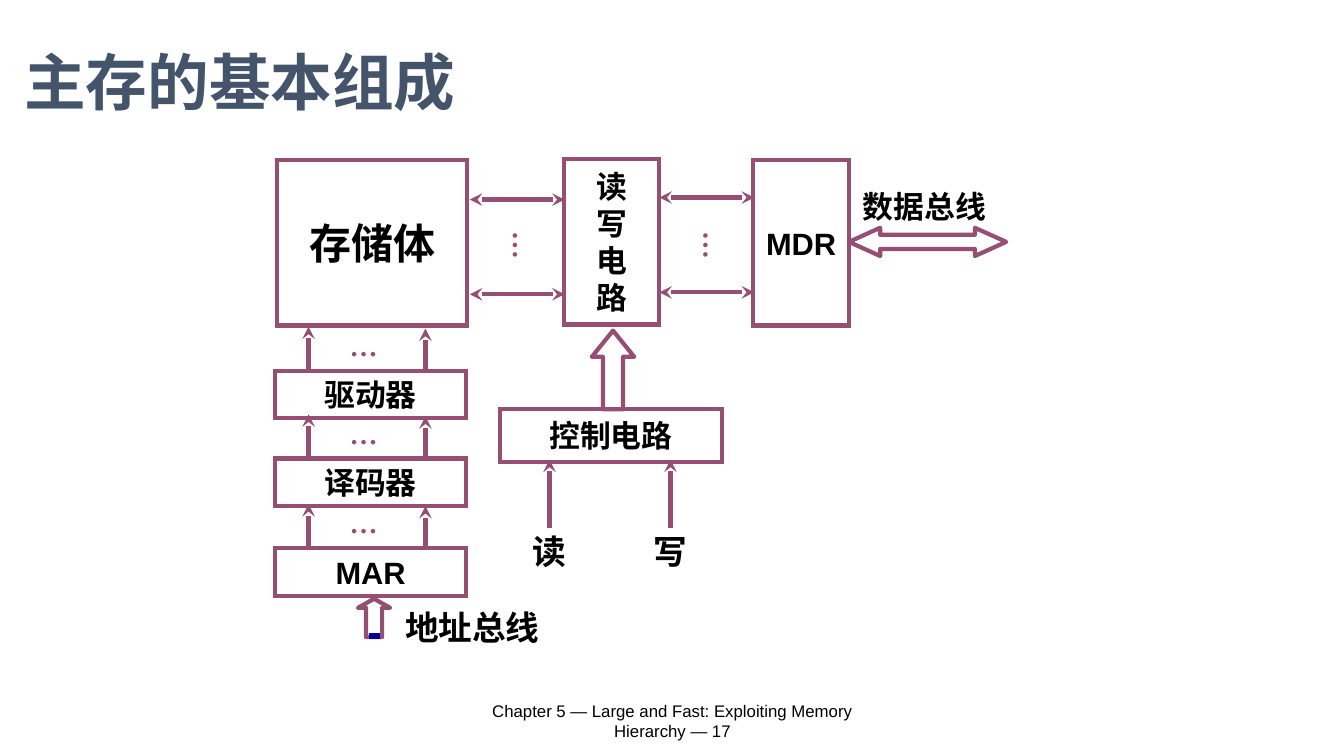
from dataclasses import dataclass

from pptx import Presentation
from pptx.dml.color import RGBColor
from pptx.enum.shapes import MSO_CONNECTOR, MSO_SHAPE
from pptx.enum.text import MSO_ANCHOR, MSO_AUTO_SIZE, PP_ALIGN
from pptx.oxml.ns import qn
from pptx.util import Inches, Pt
from lxml.etree import SubElement


@dataclass(frozen=True)
class Theme:
    plum: RGBColor = RGBColor(0x95, 0x4F, 0x72)
    slate: RGBColor = RGBColor(0x44, 0x54, 0x6A)
    black: RGBColor = RGBColor(0, 0, 0)
    navy: RGBColor = RGBColor(0, 0, 0x99)
    font: str = "Arial"
    dots_font: str = "Times New Roman"
    title: int = 44
    memory: int = 30
    signal: int = 24
    label: int = 22
    dots: int = 20
    footer: int = 12
    line: float = 3
    mark: float = 4.5


T = Theme()


def write(tf, text, size=T.label, color=T.black, bold=True, font=T.font,
          align=PP_ALIGN.LEFT, anchor=MSO_ANCHOR.TOP, wrap=False, spacing=None):
    """Fill a text frame, one paragraph per line of text."""
    tf.auto_size = MSO_AUTO_SIZE.NONE
    tf.word_wrap = wrap
    tf.vertical_anchor = anchor
    for i, line in enumerate(text.split("\n")):
        p = tf.paragraphs[0] if i == 0 else tf.add_paragraph()
        p.alignment = align
        if spacing:
            p.line_spacing = Pt(spacing)
        r = p.add_run()
        r.text = line
        r.font.name = font
        r.font.size = Pt(size)
        r.font.bold = bold
        r.font.color.rgb = color


def add_text(s, x, y, w, h, text, rotation=0, **fmt):
    sp = s.shapes.add_textbox(Inches(x), Inches(y), Inches(w), Inches(h))
    sp.rotation = rotation
    write(sp.text_frame, text, **fmt)


def outline(sp, join):
    sp.shadow.inherit = False
    sp.fill.background()
    sp.line.color.rgb = T.plum
    sp.line.width = Pt(T.line)
    SubElement(sp.line._get_or_add_ln(), qn(f"a:{join}"))


def add_box(s, x, y, w, h, text, **fmt):
    sp = s.shapes.add_shape(MSO_SHAPE.RECTANGLE, Inches(x), Inches(y), Inches(w), Inches(h))
    outline(sp, "miter")
    tf = sp.text_frame
    tf.margin_left = tf.margin_right = tf.margin_top = tf.margin_bottom = 0
    write(tf, text, align=PP_ALIGN.CENTER, anchor=MSO_ANCHOR.MIDDLE, **fmt)


def add_outline(s, points):
    (x, y), *rest = [(Inches(px), Inches(py)) for px, py in points]
    builder = s.shapes.build_freeform(x, y)
    builder.add_line_segments(rest, close=True)
    outline(builder.convert_to_shape(), "round")


def add_up_arrow(s, cx, top, bottom, head, half_head, half_shaft):
    neck = top + head
    add_outline(s, [(cx - half_head, neck), (cx - half_shaft, neck),
                    (cx - half_shaft, bottom), (cx + half_shaft, bottom),
                    (cx + half_shaft, neck), (cx + half_head, neck), (cx, top)])


def add_double_arrow(s, left, right, cy, head, half_head, half_shaft):
    a, b = left + head, right - head
    add_outline(s, [(left, cy), (a, cy + half_head), (a, cy + half_shaft),
                    (b, cy + half_shaft), (b, cy + half_head), (right, cy),
                    (b, cy - half_head), (b, cy - half_shaft),
                    (a, cy - half_shaft), (a, cy - half_head)])


def add_line(s, x1, y1, x2, y2, ends=(), color=T.plum, width=T.line):
    c = s.shapes.add_connector(MSO_CONNECTOR.STRAIGHT, Inches(x1), Inches(y1),
                               Inches(x2), Inches(y2))
    c.line.color.rgb = color
    c.line.width = Pt(width)
    ln = c.line._get_or_add_ln()
    for end in ends:
        SubElement(ln, qn(f"a:{end}")).set("type", "stealth")
    SubElement(c._element.spPr, qn("a:effectLst"))


def add_dots(s, x, y, rotation=0):
    add_text(s, x, y, 0.63, 0.43, "…", rotation=rotation, size=T.dots,
             color=T.plum, font=T.dots_font, wrap=True)


def add_title(s, text):
    sp = s.shapes.title
    sp.left, sp.top, sp.width, sp.height = (Inches(v) for v in (0.14, 0.39, 9.03, 0.83))
    write(sp.text_frame, text, size=T.title, color=T.slate,
          anchor=MSO_ANCHOR.MIDDLE, wrap=True)


def main():
    prs = Presentation()
    prs.slide_width, prs.slide_height = Inches(13.33), Inches(7.5)
    s = prs.slides.add_slide(prs.slide_layouts[5])
    add_title(s, "主存的基本组成")

    # Memory, read/write circuit and data register
    add_box(s, 2.75, 1.59, 1.88, 1.64, "存储体", size=T.memory)
    add_box(s, 5.59, 1.58, 0.95, 1.64, "读\n写\n电\n路", spacing=26.4)
    add_box(s, 7.47, 1.59, 0.95, 1.64, "MDR")

    # Data lines between them
    for x, y, dots_x in ((4.66, 1.98, 4.7), (6.54, 1.96, 6.59)):
        for line_y in (y, y + 0.94):
            add_line(s, x, line_y, x + 0.94, line_y, ends=("headEnd", "tailEnd"))
        add_dots(s, dots_x, 2.14, rotation=270)

    # Address path, each stage feeding the one above
    for y, name in ((3.68, "驱动器"), (4.55, "译码器"), (5.44, "MAR")):
        add_box(s, 2.73, y, 1.89, 0.47, name)
        add_line(s, 3.06, y - 0.02, 3.06, y - 0.44, ends=("tailEnd",))
        add_line(s, 4.22, y, 4.22, y - 0.42, ends=("tailEnd",))
        add_dots(s, 3.37, y - 0.47)

    # Control circuit and its signals
    add_box(s, 4.96, 4.06, 2.2, 0.52, "控制电路")
    add_up_arrow(s, 6.08, 3.28, 4.06, head=0.26, half_head=0.21, half_shaft=0.1)
    for x, name in ((5.45, "读"), (6.65, "写")):
        add_line(s, x, 5.24, x, 4.56, ends=("tailEnd",))
        add_text(s, x - 0.27, 5.22, 0.54, 0.5, name, size=T.signal)

    # Buses
    add_up_arrow(s, 3.71, 5.94, 6.32, head=0.09, half_head=0.16, half_shaft=0.08)
    add_line(s, 3.66, 6.31, 3.77, 6.31, color=T.navy, width=T.mark)
    add_text(s, 3.92, 5.97, 1.56, 0.51, "地址总线", size=T.signal)
    add_double_arrow(s, 8.42, 9.98, 2.4, head=0.31, half_head=0.14, half_shaft=0.07)
    add_text(s, 8.46, 1.81, 1.44, 0.47, "数据总线")

    # Footer
    add_text(s, 4.42, 6.95, 4.5, 0.4,
             "Chapter 5 — Large and Fast: Exploiting Memory Hierarchy — 17",
             size=T.footer, bold=False, align=PP_ALIGN.CENTER,
             anchor=MSO_ANCHOR.MIDDLE, wrap=True)
    prs.save("out.pptx")


if __name__ == "__main__":
    main()
